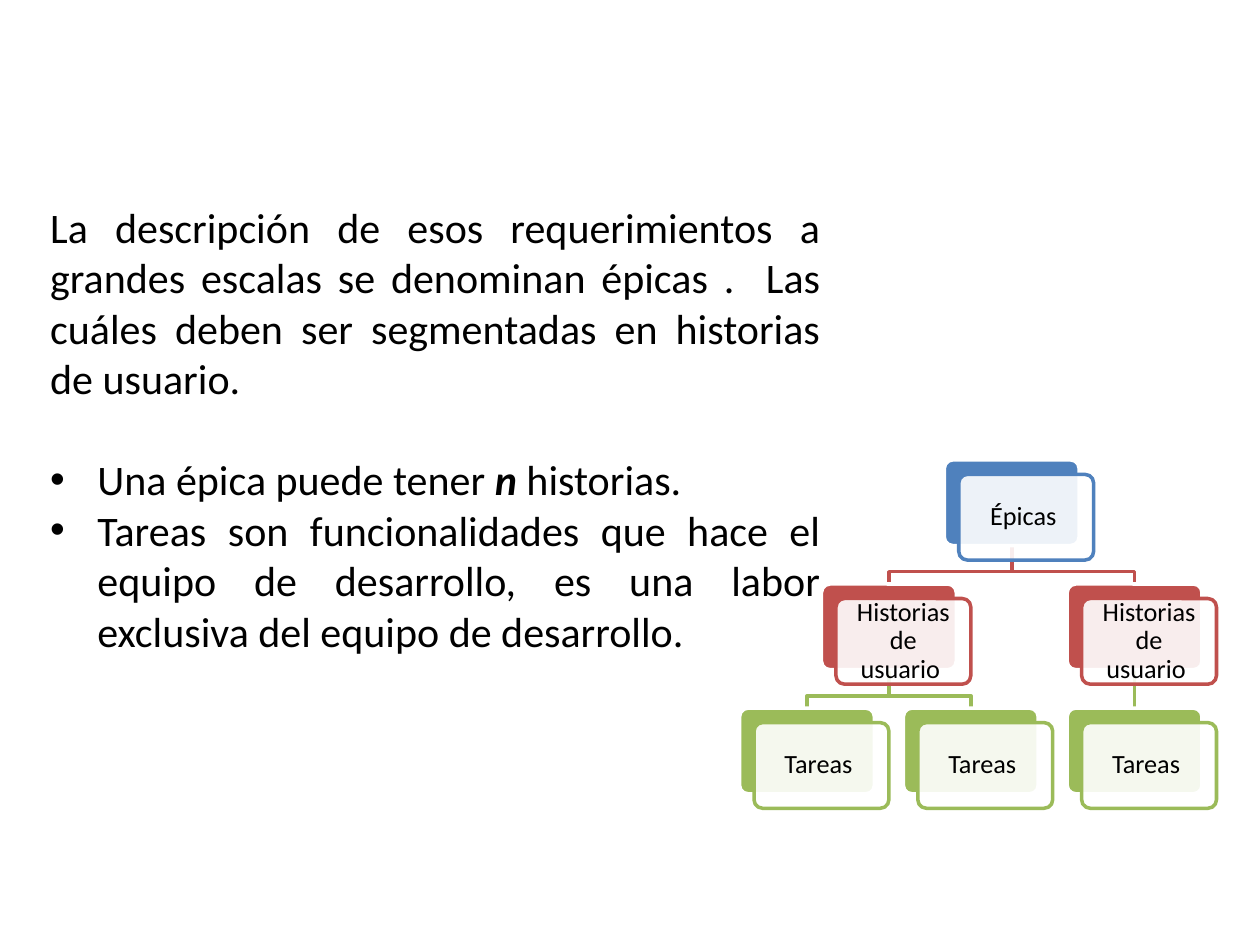
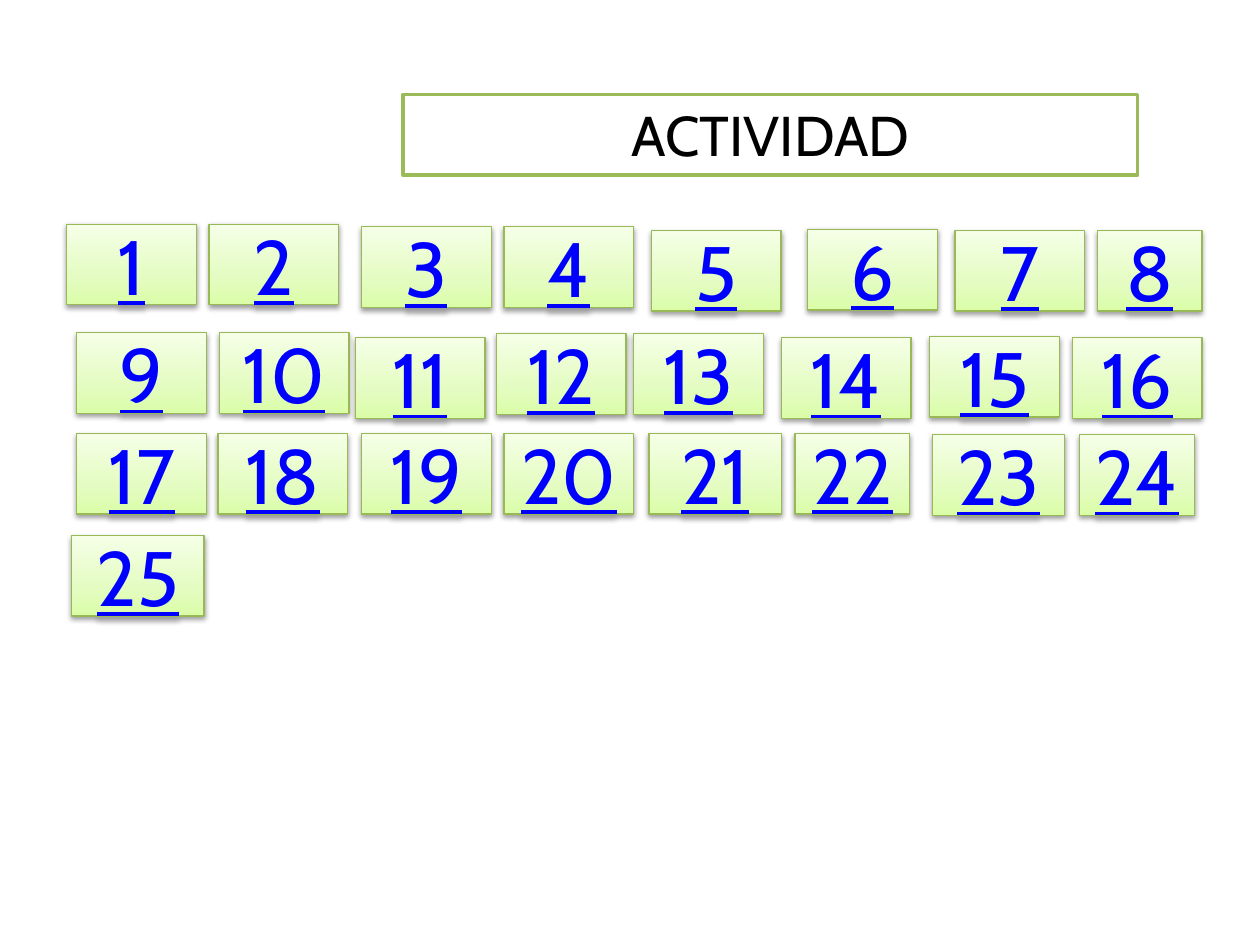
from dataclasses import dataclass

from lxml.etree import SubElement
from pptx import Presentation
from pptx.dml.color import RGBColor
from pptx.enum.shapes import MSO_CONNECTOR as Link, MSO_SHAPE as Shape
from pptx.enum.text import MSO_ANCHOR as Anchor, PP_ALIGN as Align
from pptx.oxml import parse_xml
from pptx.oxml.ns import nsdecls, qn
from pptx.util import Emu, Inches, Pt


@dataclass(frozen=True)
class Theme:
    body_font: str = "Calibri"
    display_font: str = "Cabin"
    black: str = "000000"
    white: str = "FFFFFF"
    blue: str = "4F81BD"
    red: str = "C0504D"
    green: str = "9BBB59"
    tile_edge: str = "98B955"
    tile_number: str = "0000FF"
    tile_stops: tuple = ((0, "DAFDA7"), (35, "E4FCC2"), (100, "F5FFE7"))
    body_size: int = 24
    card_size: int = 15
    title_size: int = 32
    tile_size: int = 44


THEME = Theme()
WIDTH, HEIGHT = Inches(10), Inches(7.5)
COLUMNS, ROWS = 100, 75


@dataclass(frozen=True)
class Box:
    left: float
    top: float
    width: float
    height: float

    def inner(self, left, top, width, height):
        return Box(self.left + left, self.top + top, width, height)

    def lengths(self):
        return (column(self.left), row(self.top), column(self.width), row(self.height))


def column(count):
    return Emu(round(count * WIDTH / COLUMNS))


def row(count):
    return Emu(round(count * HEIGHT / ROWS))


def color(code):
    return RGBColor.from_string(code)


def set_font(font, name, size, code):
    font.name, font.size = name, Pt(size)
    font.color.rgb = color(code)


def set_line(line, code, width=2):
    line.color.rgb = color(code)
    line.width = Pt(width)


def add_panel(page, box, kind, fill, edge):
    panel = page.shapes.add_shape(kind, *box.lengths())
    panel.shadow.inherit = False
    panel.fill.solid()
    panel.fill.fore_color.rgb = color(fill)
    set_line(panel.line, edge)
    return panel


def write_description(page, box):
    intro = ("La descripción de esos requerimientos a grandes escalas se denominan épicas .  "
             "Las cuáles deben ser segmentadas en historias de usuario.")
    points = (("Una épica puede tener ", "n", " historias."),
              ("Tareas son funcionalidades que hace el equipo de desarrollo, "
               "es una labor exclusiva del equipo de desarrollo.",))
    frame = page.shapes.add_textbox(*box.lengths()).text_frame
    frame.word_wrap = True
    frame.text = intro
    for point in points:
        para = frame.add_paragraph()
        properties = para._p.get_or_add_pPr()
        properties.set("marL", str(Pt(27)))
        properties.set("indent", str(-Pt(27)))
        SubElement(properties, qn("a:buFont"), typeface="Arial")
        SubElement(properties, qn("a:buChar"), char="•")
        for text in point:
            span = para.add_run()
            span.text = text
            span.font.bold = span.font.italic = text == "n"
    frame.paragraphs[1].space_before = Pt(29)
    for para in frame.paragraphs:
        para.alignment = Align.JUSTIFY
        for span in para.runs:
            set_font(span.font, THEME.body_font, THEME.body_size, THEME.black)


def add_card(page, box, text, code):
    back = add_panel(page, box, Shape.ROUNDED_RECTANGLE, code, THEME.white)
    front_box = box.inner(1.15, 1.15, box.width, box.height)
    front = add_panel(page, front_box, Shape.ROUNDED_RECTANGLE, THEME.white, code)
    back.adjustments[0] = front.adjustments[0] = 0.1
    white = front.fill._xPr.find(".//" + qn("a:srgbClr"))
    SubElement(white, qn("a:alpha"), val="90000")
    frame = front.text_frame
    frame.word_wrap = True
    frame.vertical_anchor = Anchor.MIDDLE
    frame.margin_left = frame.margin_right = Inches(0.08)
    frame.margin_top = frame.margin_bottom = Inches(0.08)
    frame.text = text
    para = frame.paragraphs[0]
    para.alignment = Align.CENTER
    para.line_spacing = 0.9
    set_font(para.runs[0].font, THEME.body_font, THEME.card_size, THEME.black)
    return back


def add_branch(page, start, end, code):
    (start_x, start_y), (end_x, end_y) = start, end
    bend = start_y + (end_y - start_y) * 0.68
    points = [(column(x), row(y)) for x, y in
              ((start_x, start_y), (start_x, bend), (end_x, bend), (end_x, end_y))]
    builder = page.shapes.build_freeform(*points[0])
    builder.add_line_segments(points[1:], close=False)
    branch = builder.convert_to_shape()
    branch.shadow.inherit = False
    branch.fill.background()
    set_line(branch.line, code)


def add_trunk(page, start, end, code):
    (start_x, start_y), (end_x, end_y) = start, end
    trunk = page.shapes.add_connector(Link.STRAIGHT, column(start_x), row(start_y),
                                      column(end_x), row(end_y))
    SubElement(trunk._element.spPr, qn("a:effectLst"))
    set_line(trunk.line, code)
    return trunk


def draw_hierarchy(page, box):
    card_width, card_height = 10.7, 6.8
    step_x, step_y = 13, 9.85
    levels = (("Épicas ", THEME.blue), ("Historias de usuario ", THEME.red),
              ("Tareas ", THEME.green))
    nodes = ((0, 1.25, None), (1, 0.5, 0), (1, 2, 0), (2, 0, 1), (2, 1, 1), (2, 2, 2))
    places = [box.inner(place * step_x, level * step_y, card_width, card_height)
              for level, place, _ in nodes]
    trunks = []
    for child, (level, place, parent) in enumerate(nodes):
        if parent is None:
            continue
        upper, lower = places[parent], places[child]
        start = (upper.left + card_width / 2, upper.top + card_height)
        end = (lower.left + card_width / 2, lower.top)
        code = levels[level][1]
        if place == nodes[parent][1]:
            trunks.append((add_trunk(page, start, end, code), parent, child))
        else:
            add_branch(page, start, end, code)
    cards = [add_card(page, spot, *levels[level])
             for spot, (level, _, _) in zip(places, nodes)]
    for trunk, parent, child in trunks:
        trunk.begin_connect(cards[parent], 2)
        trunk.end_connect(cards[child], 0)


def place_title(page, box, text):
    title = page.shapes.title
    title.left, title.top, title.width, title.height = box.lengths()
    title.fill.solid()
    title.fill.fore_color.rgb = color(THEME.white)
    set_line(title.line, THEME.green)
    frame = title.text_frame
    frame.text = text
    frame.vertical_anchor = Anchor.TOP
    frame.paragraphs[0].alignment = Align.CENTER
    set_font(frame.paragraphs[0].runs[0].font, THEME.display_font, THEME.title_size, THEME.black)


def add_tile(page, box, number):
    tile = page.shapes.add_shape(Shape.RECTANGLE, *box.lengths())
    set_line(tile.line, THEME.tile_edge, 0.75)
    stops = "".join(f'<a:gs pos="{place * 1000}"><a:srgbClr val="{code}"/></a:gs>'
                    for place, code in THEME.tile_stops)
    edge = tile._element.spPr.find(qn("a:ln"))
    edge.addprevious(parse_xml(
        f'<a:gradFill {nsdecls("a")} rotWithShape="1"><a:gsLst>{stops}</a:gsLst>'
        '<a:lin ang="16200000" scaled="0"/></a:gradFill>'))
    edge.addnext(parse_xml(
        f'<a:effectLst {nsdecls("a")}><a:outerShdw blurRad="{Pt(3.1)}" dist="{Pt(1.6)}" '
        f'dir="5400000" rotWithShape="0"><a:srgbClr val="{THEME.black}">'
        '<a:alpha val="38000"/></a:srgbClr></a:outerShdw></a:effectLst>'))
    frame = tile.text_frame
    frame.word_wrap = True
    frame.vertical_anchor = Anchor.MIDDLE
    frame.text = str(number)
    para = frame.paragraphs[0]
    para.alignment = Align.CENTER
    font = para.runs[0].font
    set_font(font, THEME.display_font, THEME.tile_size, THEME.tile_number)
    font.underline = True


def draw_tiles(page, box):
    tile_rows = (
        ((0, 11.3, 23.4, 34.7, 46.4, 58.8, 70.5, 81.8),
         (0, 0, 0.2, 0.2, 0.5, 0.4, 0.5, 0.5)),
        ((0.8, 12.1, 22.9, 34.1, 45, 56.7, 68.5, 79.8),
         (8.6, 8.6, 9, 8.7, 8.7, 9, 8.9, 9)),
        ((0.8, 12, 23.4, 34.7, 46.2, 57.8, 68.7, 80.4),
         (16.6,) * 6 + (16.7,) * 2),
        ((0.4,), (24.7,)),
    )
    odd_widths = {8: 8.3, 21: 10.5, 22: 9.1, 23: 10.5, 24: 9.1, 25: 10.5}
    spots = [spot for lefts, tops in tile_rows for spot in zip(lefts, tops)]
    for number, (left, top) in enumerate(spots, start=1):
        add_tile(page, box.inner(left, top, odd_widths.get(number, 10.3), 6.4), number)


def build_epics_page(deck):
    page = deck.slides.add_slide(deck.slide_layouts[6])
    write_description(page, Box(3, 15.5, 63.1, 41.4))
    draw_hierarchy(page, Box(58.7, 36.5, 37.9, 27.6))


def build_activity_page(deck):
    page = deck.slides.add_slide(deck.slide_layouts[5])
    place_title(page, Box(32, 7.5, 58.3, 6.4), "ACTIVIDAD")
    draw_tiles(page, Box(5.3, 17.8, 90.1, 31.1))


def main():
    deck = Presentation()
    deck.slide_width, deck.slide_height = WIDTH, HEIGHT
    build_epics_page(deck)
    build_activity_page(deck)
    deck.save("out.pptx")


if __name__ == "__main__":
    main()
